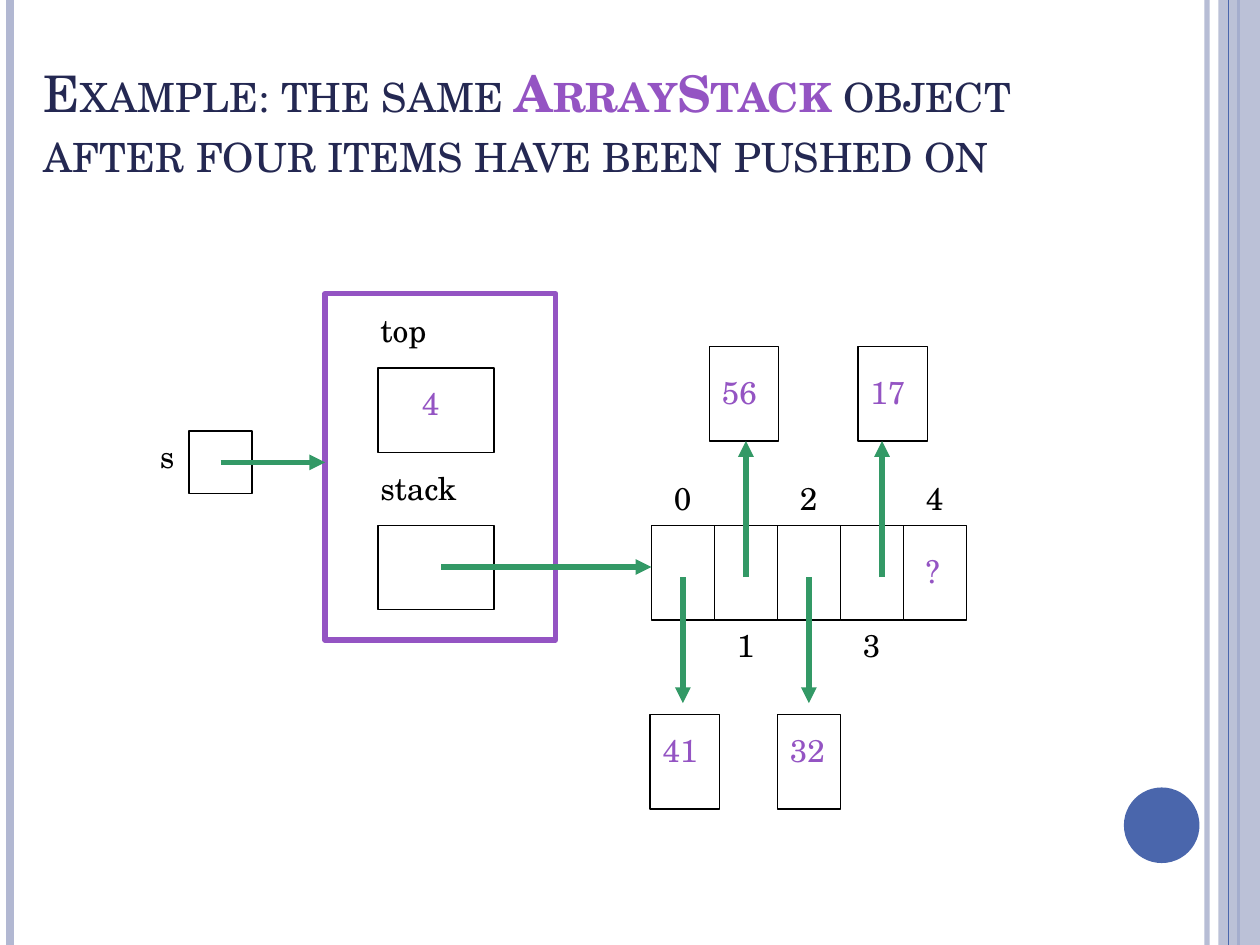
"""Build a slide showing an ArrayStack object after four pushes."""
from dataclasses import dataclass

from lxml import etree
from pptx import Presentation
from pptx.dml.color import RGBColor
from pptx.enum.shapes import MSO_CONNECTOR, MSO_SHAPE
from pptx.enum.text import MSO_ANCHOR
from pptx.oxml.ns import qn
from pptx.util import Inches, Pt

STRAIGHT = MSO_CONNECTOR.STRAIGHT
RECTANGLE, OVAL = MSO_SHAPE.RECTANGLE, MSO_SHAPE.OVAL
TOP, BOTTOM = MSO_ANCHOR.TOP, MSO_ANCHOR.BOTTOM


@dataclass(frozen=True)
class Theme:
    """Hold the colours, font and sizes of the slide."""
    font: str = "TeX Gyre Schola"
    title_size: float = 28.8
    body_size: float = 18
    navy: str = "242852"
    purple: str = "9454C3"
    black: str = "000000"
    green: str = "339966"
    blue: str = "4A66AC"
    pale: str = "B2B8D2"
    thin: float = 0.75
    thick: float = 3


THEME = Theme()
SLIDE_WIDTH, SLIDE_HEIGHT = 10, 7.5
TITLE = [
    ("Example: the same ", THEME.navy, False),
    ("ArrayStack", THEME.purple, True),
    (" object after four items have been pushed on", THEME.navy, False),
]
RULES = [
    (9.58, THEME.pale, 3, 93),
    (0.08, THEME.pale, 4.5, 100),
    (9.83, THEME.blue, 1.5, 100),
]
EDGE_RULE = (9.75, THEME.blue, 0.75, 100)
FIELD_BOXES = [(3, 2.92, 0.92, 0.67), (3, 4.17, 0.92, 0.67)]
OBJECT_BOX = (2.58, 2.33, 1.83, 2.75)
REFERENCE_BOX = (1.5, 3.42, 0.5, 0.5)
LABELS = [
    ("top", 2.92, 2.42, 1, THEME.black),
    ("stack", 2.92, 3.67, 1.33, THEME.black),
    ("4", 3.25, 3, 0.42, THEME.purple),
    ("s", 1.17, 3.42, 0.5, THEME.black),
    ("?", 7.25, 4.33, 0.33, THEME.purple),
]
REFERENCES = [((1.75, 3.67), (2.58, 3.67)), ((3.5, 4.5), (5.17, 4.5))]
ARRAY_LEFT, ARRAY_TOP, CELL_WIDTH, CELL_HEIGHT, CELL_COUNT = 5.17, 4.17, 0.5, 0.75, 5
INDEX_TOPS = (3.75, 4.92)
ITEMS = [
    ("41", 5.16, 0.55, 5.42),
    ("56", 5.63, 0.55, 5.92),
    ("32", 6.17, 0.5, 6.42),
    ("17", 6.81, 0.55, 7),
]
ITEM_ROWS = [
    {"box": 5.67, "text": 5.75, "tip": 5.58},
    {"box": 2.75, "text": 2.91, "tip": 3.5},
]
ARROW_START, ITEM_TEXT_WIDTH, LABEL_HEIGHT = 4.58, 0.58, 0.43


def set_alpha(color_format, percent):
    color = color_format.find(".//" + qn("a:srgbClr"))
    etree.SubElement(color, qn("a:alpha"), val=str(percent * 1000))


def add_line(slide, start, end, color, width, arrow=False, opacity=100):
    connector = slide.shapes.add_connector(STRAIGHT, *map(Inches, start + end))
    connector.line.color.rgb = RGBColor.from_string(color)
    connector.line.width = Pt(width)
    line = connector.line._get_or_add_ln()
    if opacity < 100:
        set_alpha(line, opacity)
    if arrow:
        etree.SubElement(line, qn("a:tailEnd"), type="triangle")
    etree.SubElement(connector._element.spPr, qn("a:effectLst"))


def add_rule(slide, left, color, width, opacity):
    add_line(slide, (left, 0), (left, SLIDE_HEIGHT), color, width, opacity=opacity)


def add_box(slide, box, kind=RECTANGLE, fill=None, line=None, width=THEME.thin, opacity=100):
    shape = slide.shapes.add_shape(kind, *map(Inches, box))
    shape.shadow.inherit = False
    if fill:
        shape.fill.solid()
        shape.fill.fore_color.rgb = RGBColor.from_string(fill)
        if opacity < 100:
            set_alpha(shape._element.spPr, opacity)
    else:
        shape.fill.background()
    if line:
        shape.line.color.rgb = RGBColor.from_string(line)
        shape.line.width = Pt(width)
    else:
        shape.line.fill.background()


def add_text(slide, runs, box, size=THEME.body_size, anchor=TOP, small_caps=False):
    frame = slide.shapes.add_textbox(*map(Inches, box)).text_frame
    frame.word_wrap = True
    frame.vertical_anchor = anchor
    for text, color, bold in runs:
        run = frame.paragraphs[0].add_run()
        run.text = text
        run.font.name = THEME.font
        run.font.size = Pt(size)
        run.font.bold = bold
        run.font.color.rgb = RGBColor.from_string(color)
        if small_caps:
            run.font._element.set("cap", "small")


def add_label(slide, text, left, top, width, color):
    add_text(slide, [(text, color, False)], (left, top, width, LABEL_HEIGHT))


def add_frame(slide):
    for rule in RULES:
        add_rule(slide, *rule)
    add_box(slide, (9.67, 0, 0.33, SLIDE_HEIGHT), fill=THEME.pale, opacity=87)
    add_rule(slide, *EDGE_RULE)
    add_box(slide, (8.92, 6.25, 0.6, 0.6), kind=OVAL, fill=THEME.blue)


def add_stack_object(slide):
    for box in FIELD_BOXES + [REFERENCE_BOX]:
        add_box(slide, box, line=THEME.black)
    add_box(slide, OBJECT_BOX, line=THEME.purple, width=THEME.thick)


def add_array(slide):
    for index in range(CELL_COUNT):
        left = ARRAY_LEFT + index * CELL_WIDTH
        add_box(slide, (left, ARRAY_TOP, CELL_WIDTH, CELL_HEIGHT), line=THEME.black)
        add_label(slide, str(index), left + 0.08, INDEX_TOPS[index % 2], 0.33, THEME.black)


def add_items(slide):
    for index, (value, left, width, arrow_left) in enumerate(ITEMS):
        row = ITEM_ROWS[index % 2]
        add_box(slide, (left, row["box"], width, CELL_HEIGHT), line=THEME.black)
        add_label(slide, value, left, row["text"], ITEM_TEXT_WIDTH, THEME.purple)
        add_line(slide, (arrow_left, ARROW_START), (arrow_left, row["tip"]),
                 THEME.green, THEME.thick, arrow=True)


def main():
    presentation = Presentation()
    presentation.slide_width = Inches(SLIDE_WIDTH)
    presentation.slide_height = Inches(SLIDE_HEIGHT)
    slide = presentation.slides.add_slide(presentation.slide_layouts[6])
    add_frame(slide)
    add_text(slide, TITLE, (0.25, 0.25, 8.17, 1.25), size=THEME.title_size,
             anchor=BOTTOM, small_caps=True)
    add_stack_object(slide)
    add_array(slide)
    add_items(slide)
    for label in LABELS:
        add_label(slide, *label)
    for start, end in REFERENCES:
        add_line(slide, start, end, THEME.green, THEME.thick, arrow=True)
    presentation.save("out.pptx")


if __name__ == "__main__":
    main()
